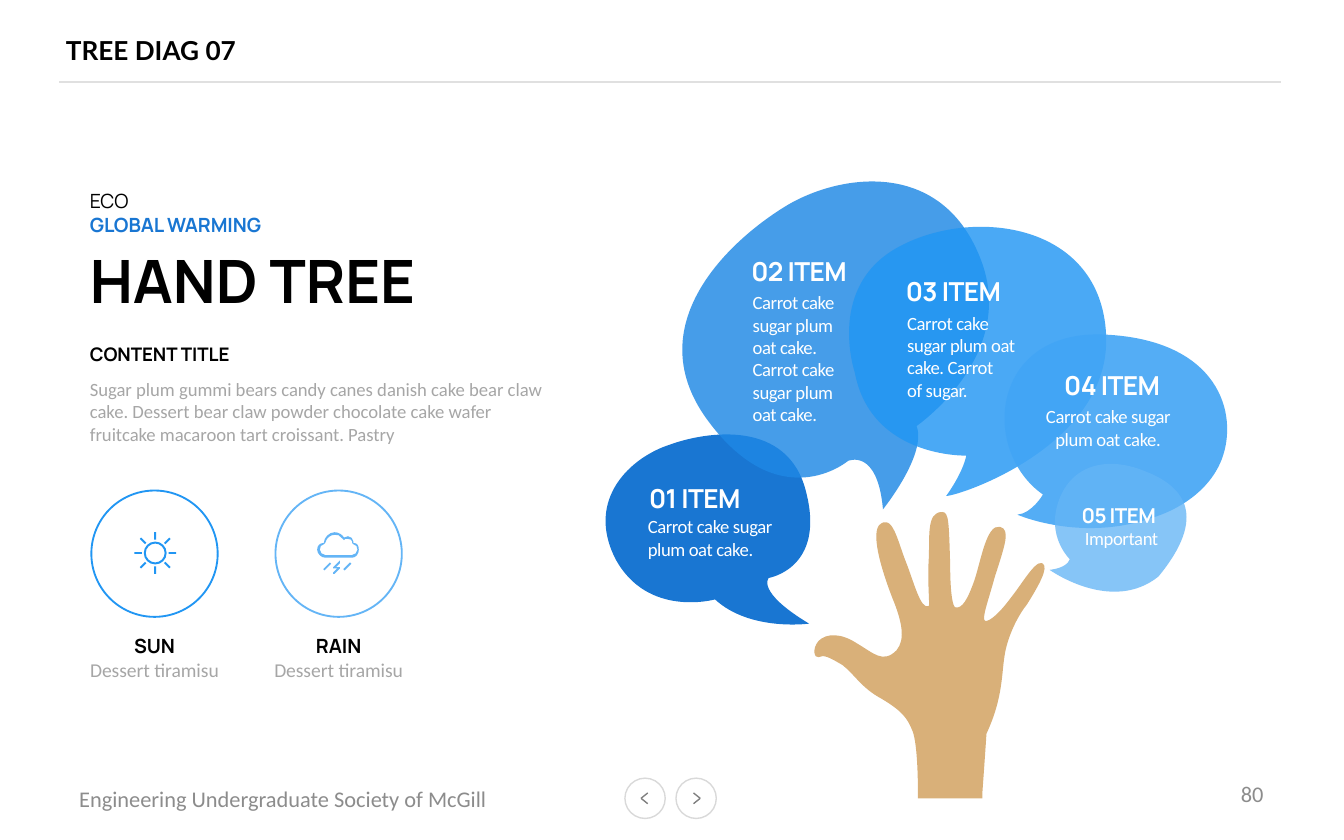
import math
from dataclasses import dataclass

import pptx
import pptx.dml.color
import pptx.enum.shapes
import pptx.enum.text
import pptx.oxml.ns
import pptx.util
from lxml import etree

PX = 9144  # EMU in one px, 100 px to the inch
ALIGN, ANCHOR = pptx.enum.text.PP_ALIGN, pptx.enum.text.MSO_ANCHOR
qn = pptx.oxml.ns.qn
# An outline is a start point, then lines (x, y) and curves (two controls and an end).
Outline = list[tuple[float, ...]]
Box = tuple[int, int, int, int]


@dataclass(frozen=True)
class Style:
    size: float
    font: str
    color: str
    bold: bool = False
    spacing: float = 0


@dataclass(frozen=True)
class Line:
    text: str
    style: Style
    before: float = 0


@dataclass(frozen=True)
class Bubble:
    color: str
    opacity: int
    outline: Outline
    title: str
    title_at: tuple[int, int]
    body: list[str]
    body_box: Box
    align: int = ALIGN.LEFT
    title_size: int = 14


BUBBLE_BODY = Style(10, "Calibri", "FFFFFF", spacing=-0.2)
FOOTER = Style(12, "Calibri", "8C8C8C")
HAND: Outline = [
    (701, 381), (706, 381, 706, 388, 707, 420), (707, 442, 709, 452, 711, 452),
    (716, 453, 720, 446, 725, 432), (730, 417, 734, 390, 744, 392), (752, 394, 748, 405, 740, 430),
    (736, 445, 730, 461, 733, 462), (736, 463, 744, 456, 752, 445), (761, 434, 773, 412, 777, 421),
    (779, 426, 769, 442, 764, 450), (759, 456, 751, 470, 748, 485), (745, 500, 747, 518, 734, 546),
    (734, 546, 733, 562, 731, 589), (731, 594), (683, 594), (683, 586),
    (683, 586, 683, 554, 679, 544), (675, 534, 671, 529, 656, 520), (641, 512, 636, 502, 627, 495),
    (617, 489, 613, 487, 609, 489), (606, 490, 604, 483, 609, 477), (615, 471, 626, 471, 638, 479),
    (650, 486, 657, 494, 667, 484), (674, 476, 671, 462, 664, 445), (657, 427, 648, 399, 654, 391),
    (664, 381, 668, 403, 674, 418), (680, 433, 685, 454, 691, 451), (692, 451, 690, 433, 691, 417),
    (692, 400, 689, 381, 701, 381)]
CLOUD: list[Outline] = [
    [(263, 404), (263, 404, 263, 403, 263, 403), (263, 401, 261, 399, 259, 399),
     (258, 399, 257, 400, 256, 400), (255, 398, 252, 396, 249, 396), (245, 396, 241, 400, 241, 404),
     (238, 404, 236, 406, 236, 409), (236, 412, 239, 415, 242, 415), (262, 415),
     (265, 415, 267, 412, 267, 409), (267, 406, 266, 404, 263, 404)],
    [(262, 413), (242, 413), (240, 413, 238, 411, 238, 409), (238, 407, 239, 405, 241, 405),
     (242, 405, 242, 404, 242, 404), (243, 400, 246, 398, 249, 398), (251, 398, 253, 398, 254, 400),
     (255, 401, 256, 402, 256, 402), (257, 402, 257, 402, 257, 401), (258, 401, 258, 401, 259, 401),
     (261, 401, 262, 402, 262, 403), (262, 404), (262, 404, 262, 405, 263, 405),
     (265, 405, 266, 407, 266, 409), (266, 411, 264, 413, 262, 413)]]
BOLT: Outline = [(253, 417), (248, 422), (248, 423), (251, 423), (248, 426), (248, 427),
                 (249, 427), (253, 423), (253, 422), (250, 422), (253, 419)]
BUBBLES = [
    Bubble("1976D2", 100, [
        (572, 430), (572, 430, 562, 440, 602, 464), (602, 464, 558, 470, 532, 446),
        (532, 446, 482, 460, 458, 416), (435, 371, 470, 340, 498, 331),
        (525, 321, 587, 311, 600, 367), (614, 423, 572, 430, 572, 430),
    ], "01 ITEM", (483, 359), ["Carrot cake sugar plum oat cake."], (480, 381, 123, 38)),
    Bubble("1E88E5", 82, [
        (631, 343), (631, 343, 653, 333, 657, 379), (657, 379, 690, 338, 682, 317),
        (682, 317, 759, 264, 729, 191), (700, 119, 627, 129, 587, 152),
        (548, 175, 473, 239, 526, 312), (580, 386, 631, 343, 631, 343),
    ], "02 ITEM", (559, 190), ["Carrot cake sugar plum", "oat cake."] * 2, (558, 214, 89, 105)),
    Bubble("2196F3", 81, [
        (636, 277), (636, 277, 614, 212, 670, 183), (725, 154, 819, 166, 823, 249),
        (827, 331, 714, 369, 704, 369), (704, 369, 716, 353, 719, 339),
        (719, 339, 648, 341, 636, 277),
    ], "03 ITEM", (674, 205), ["Carrot cake sugar plum oat cake. Carrot", "of sugar."],
        (673, 229, 89, 72)),
    Bubble("42A5F5", 90, [
        (858, 385), (858, 385, 896, 375, 909, 342), (922, 308, 907, 253, 822, 249),
        (737, 245, 729, 335, 776, 368), (776, 368, 768, 382, 757, 383),
        (757, 383, 805, 404, 858, 385),
    ], "04 ITEM", (766, 275), ["Carrot cake sugar plum oat cake."], (763, 299, 123, 38), ALIGN.CENTER),
    Bubble("64B5F6", 78, [
        (796, 416), (796, 416, 778, 399, 788, 372), (798, 345, 825, 339, 853, 351),
        (881, 362, 899, 384, 862, 429), (827, 457, 781, 424, 781, 424),
        (781, 424, 794, 423, 796, 416),
    ], "05 ITEM", (771, 374), ["Important"], (773, 390, 123, 21), ALIGN.CENTER, 11)]


def emu(px: float) -> int:
    return round(px * PX)


def rgb(color: str) -> pptx.dml.color.RGBColor:
    return pptx.dml.color.RGBColor.from_string(color)


def fill_shape(shape, color: str, opacity: int = 100) -> None:
    shape.fill.solid()
    shape.fill.fore_color.rgb = rgb(color)
    if opacity < 100:
        tint = shape.fill._xPr.find(".//" + qn("a:srgbClr"))
        etree.SubElement(tint, qn("a:alpha"), val=str(opacity * 1000))


def extent(outlines: list[Outline], axis: int) -> tuple[int, int]:
    """Least and greatest place, in EMU, that the curves reach on one axis."""
    reached = []
    for outline in outlines:
        end = outline[0][axis]
        for segment in outline:
            a, (*controls, d) = end, segment[axis::2]
            b, c = controls or (a, d)
            for t in (step / 50 for step in range(51)):
                s = 1 - t
                reached.append(a * s**3 + 3 * b * s * s * t + 3 * c * s * t * t + d * t**3)
            end = d
    return emu(min(reached)), emu(max(reached))


def add_outlines(shapes, outlines: list[Outline], color: str, opacity: int = 100) -> None:
    """Draw one filled freeform, turning the corners of each curve into a Bézier segment."""
    builder = shapes.build_freeform(*map(emu, outlines[0][0]))
    for outline in outlines:
        builder.move_to(*map(emu, outline[0])) if outline is not outlines[0] else None
        corners = [segment[i:i + 2] for segment in outline[1:] for i in range(0, len(segment), 2)]
        builder.add_line_segments([(emu(x), emu(y)) for x, y in corners])
    shape = builder.convert_to_shape()
    outline_path = shape._element.find(".//" + qn("a:path"))
    (left, right), (top, bottom) = extent(outlines, 0), extent(outlines, 1)
    for point in outline_path.iter(qn("a:pt")):
        point.set("x", str(int(point.get("x")) + shape.left - left))
        point.set("y", str(int(point.get("y")) + shape.top - top))
    shape.left, shape.top, shape.width, shape.height = left, top, right - left, bottom - top
    outline_path.set("w", str(right - left))
    outline_path.set("h", str(bottom - top))
    steps = iter(outline_path.findall(qn("a:lnTo")))
    for segment in (segment for outline in outlines for segment in outline[1:]):
        first, *others = [next(steps) for _ in range(len(segment) // 2)]
        if others:
            curve = etree.Element(qn("a:cubicBezTo"))
            first.addprevious(curve)
            for step in (first, *others):
                curve.append(step[0])
                outline_path.remove(step)
    shape.shadow.inherit = False
    shape.line.fill.background()
    fill_shape(shape, color, opacity)


def add_ring(shapes, left: int, top: int, size: int, line: str, width: float, fill: str = "") -> None:
    ring = shapes.add_shape(pptx.enum.shapes.MSO_SHAPE.OVAL, *map(emu, (left, top, size, size)))
    ring.shadow.inherit = False
    fill_shape(ring, fill) if fill else ring.fill.background()
    ring.line.color.rgb = rgb(line)
    ring.line.width = pptx.util.Pt(width)


def add_line(shapes, x1: int, y1: int, x2: int, y2: int, color: str) -> None:
    line = shapes.add_connector(pptx.enum.shapes.MSO_CONNECTOR.STRAIGHT, *map(emu, (x1, y1, x2, y2)))
    line.line.color.rgb = rgb(color)
    line.line.width = pptx.util.Pt(0.75)
    etree.SubElement(line._element.spPr, qn("a:effectLst"))


def write(shape, box: Box, lines: list[Line], align=ALIGN.LEFT, anchor=ANCHOR.TOP,
          insets: tuple[int, int] = (10, 5), wrap: bool = True) -> None:
    """Place a text shape and fill it; insets are (sides, top and bottom)."""
    shape.left, shape.top, shape.width, shape.height = map(emu, box)
    frame = shape.text_frame
    frame.word_wrap, frame.vertical_anchor = wrap, anchor
    frame.margin_left = frame.margin_right = emu(insets[0])
    frame.margin_top = frame.margin_bottom = emu(insets[1])
    for index, line in enumerate(lines):
        paragraph = frame.add_paragraph() if index else frame.paragraphs[0]
        paragraph.text, paragraph.alignment = line.text, align
        if line.before:
            paragraph.space_before = pptx.util.Pt(line.before)
        font, style = paragraph.font, line.style
        font.size, font.name, font.bold = pptx.util.Pt(style.size), style.font, style.bold
        font.color.rgb = rgb(style.color)
        if style.spacing:
            paragraph._p.pPr.find(qn("a:defRPr")).set("spc", str(round(style.spacing * 100)))


def add_text(shapes, box: Box, lines: list[Line], **layout) -> None:
    write(shapes.add_textbox(0, 0, 0, 0), box, lines, **layout)


def add_bubble(shapes, bubble: Bubble) -> None:
    group = shapes.add_group_shape().shapes
    add_outlines(group, [bubble.outline], bubble.color, bubble.opacity)
    title = Style(bubble.title_size, "Manrope", "FFFFFF", True, -0.3)
    add_text(group, (*bubble.title_at, 123, 45), [Line(bubble.title, title)],
             align=bubble.align, insets=(0, 0))
    add_text(group, bubble.body_box, [Line(text, BUBBLE_BODY) for text in bubble.body],
             align=bubble.align, anchor=ANCHOR.MIDDLE, insets=(2, 2))


def bar(x1: float, y1: float, x2: float, y2: float) -> Outline:
    """A thin stroke as a four-cornered outline."""
    reach = 0.7 / math.hypot(x2 - x1, y2 - y1)
    dx, dy = (y1 - y2) * reach, (x2 - x1) * reach
    return [(x1 + dx, y1 + dy), (x2 + dx, y2 + dy), (x2 - dx, y2 - dy), (x1 - dx, y1 - dy)]


def circle(x: float, y: float, r: float) -> Outline:
    k = 0.55 * r
    return [(x + r, y), (x + r, y + k, x + k, y + r, x, y + r), (x - k, y + r, x - r, y + k, x - r, y),
            (x - r, y - k, x - k, y - r, x, y - r), (x + k, y - r, x + r, y - k, x + r, y)]


def sun(x: float, y: float) -> list[Outline]:
    turns = [(math.cos(ray * math.pi / 4), math.sin(ray * math.pi / 4)) for ray in range(8)]
    rays = [bar(x + 10 * c, y + 10 * s, x + 15.5 * c, y + 15.5 * s) for c, s in turns]
    return [circle(x, y, 8.5), circle(x, y, 7), *rays]


def add_weather(shapes, name: str, left: int, color: str, icon: list[Outline]) -> None:
    add_ring(shapes, left, 365, 94, color, 1)
    add_text(shapes, (left - 11, 467, 116, 45), [
        Line(name, Style(10.5, "Manrope", "000000", True)),
        Line("Dessert tiramisu", Style(10.5, "Calibri", "A6A6A6"))], align=ALIGN.CENTER, insets=(0, 5))
    add_outlines(shapes, icon, color)


def add_arrow_button(shapes, left: int, direction: int) -> None:
    """Draw a round button; direction is -1 for back and 1 for forward."""
    add_ring(shapes, left, 579, 30, "D9D9D9", 0.75, "FFFFFF")
    for rise in (-4, 4):
        add_line(shapes, left + 15 + 3 * direction, 594, left + 15 - 2 * direction, 594 + rise, "808080")


def main() -> None:
    deck = pptx.Presentation()
    deck.slide_width, deck.slide_height = emu(1000), emu(625)
    shapes = deck.slides.add_slide(deck.slide_layouts[5]).shapes
    write(shapes.title, (49, 16, 667, 43), [Line("TREE DIAG 07", Style(14, "Lato", "000000", True))],
          anchor=ANCHOR.MIDDLE, insets=(0, 0))
    add_line(shapes, 953, 61, 44, 61, "E0E0E0")
    add_text(shapes, (49, 579, 339, 30), [Line("Engineering Undergraduate Society of McGill", FOOTER)],
             anchor=ANCHOR.MIDDLE)
    add_text(shapes, (717, 574, 233, 33), [Line("80", FOOTER)], align=ALIGN.RIGHT, anchor=ANCHOR.MIDDLE)
    add_arrow_button(shapes, 465, -1)
    add_arrow_button(shapes, 503, 1)
    add_outlines(shapes, [HAND], "D9B079")
    for bubble in BUBBLES:
        add_bubble(shapes, bubble)
    add_weather(shapes, "SUN", 68, "2196F3", sun(115.5, 411.5))
    add_weather(shapes, "RAIN", 205, "64B5F6", [*CLOUD, bar(246, 419, 241, 424), BOLT, bar(261, 419, 256, 424)])
    add_text(shapes, (57, 136, 386, 104), [
        Line("ECO", Style(10.5, "Manrope", "000000")),
        Line("GLOBAL WARMING", Style(10.5, "Manrope", "1976D2", True)),
        Line("HAND TREE", Style(32, "Manrope", "000000", True), before=4)])
    add_text(shapes, (57, 250, 134, 28), [Line("CONTENT TITLE", Style(10, "Manrope", "000000", True))], wrap=False)
    add_text(shapes, (57, 276, 368, 61), [Line(
        "Sugar plum gummi bears candy canes danish cake bear claw cake. Dessert bear claw powder "
        "chocolate cake wafer fruitcake macaroon tart croissant. Pastry", Style(10, "Calibri", "A6A6A6"))])
    deck.save("out.pptx")


if __name__ == "__main__":
    main()
